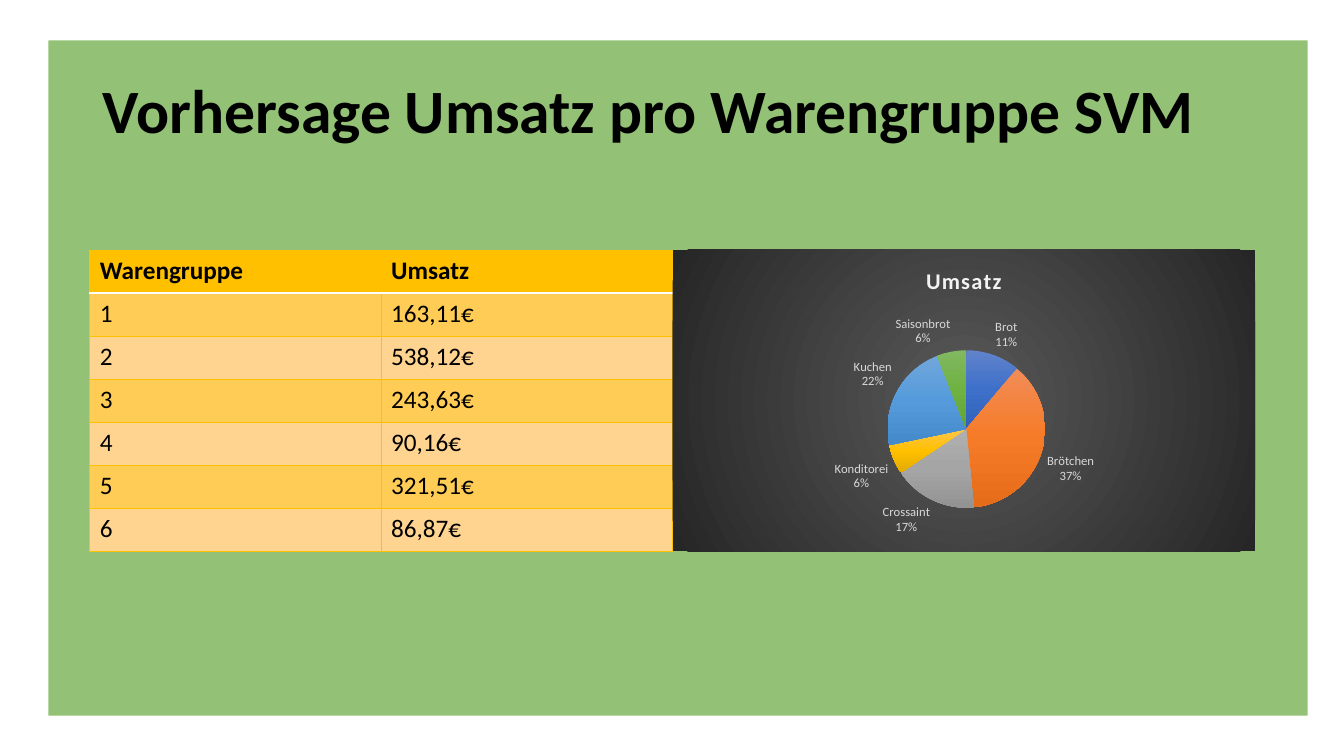
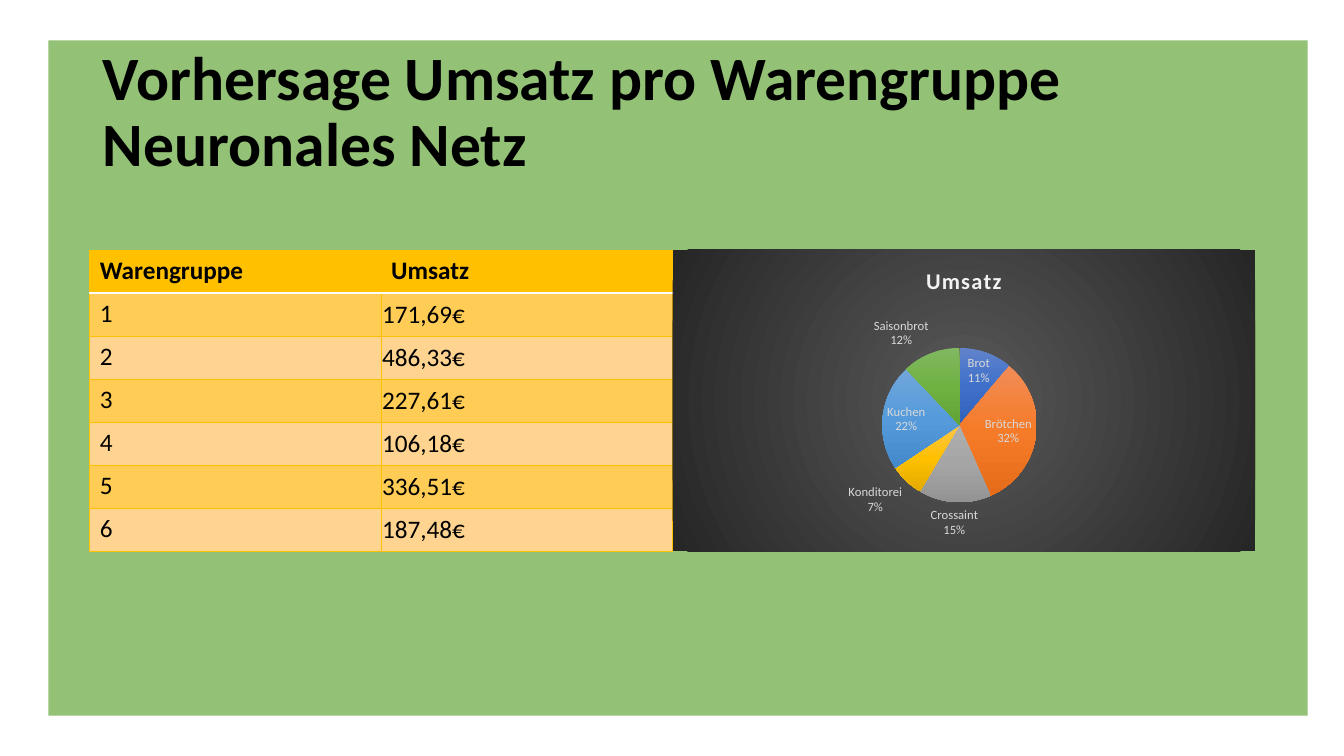
from dataclasses import dataclass

from lxml.etree import SubElement
from pptx import Presentation
from pptx.chart.chart import Chart
from pptx.chart.data import CategoryChartData
from pptx.dml.color import RGBColor
from pptx.enum.chart import XL_CHART_TYPE, XL_LABEL_POSITION
from pptx.enum.shapes import MSO_SHAPE
from pptx.enum.text import MSO_ANCHOR, MSO_AUTO_SIZE, PP_ALIGN
from pptx.oxml import parse_xml
from pptx.oxml.ns import nsdecls, qn
from pptx.slide import Slide
from pptx.table import _Cell
from pptx.util import Inches, Pt


@dataclass(frozen=True)
class Theme:
    font: str = "Calibri"
    black: str = "000000"
    white: str = "FFFFFF"
    green: str = "70AD47"
    gold: str = "FFC000"
    odd: str = "FFCC55"
    even: str = "FFD490"
    head: str = "F2F2F2"
    label: str = "D9D9D9"
    back: tuple[str, ...] = ("595959", "262626")
    slices: tuple[tuple[str, ...], ...] = (
        ("6183CB", "3E70CA", "3062BB"),
        ("F18C57", "F67B28", "E56C19"),
        ("AFAFAF", "A5A5A5", "939393"),
        ("FFC64B", "FFC000", "E3AB00"),
        ("71A6DB", "559BDB", "448ACA"),
        ("81B861", "6FB242", "62A336"),
    )
    title_size: int = 44
    cell_size: int = 18
    head_size: int = 16
    label_size: int = 9


@dataclass(frozen=True)
class Model:
    title: str
    sales: tuple[str, ...]
    shares: tuple[int, ...]
    place: XL_LABEL_POSITION
    tight: bool = False  # sales cells centred, with hardly any margin


THEME = Theme()
GOODS = ("Brot", "Brötchen", "Crossaint", "Konditorei", "Kuchen", "Saisonbrot")
MODELS = (
    Model(
        "Vorhersage Umsatz pro Warengruppe SVM",
        ("163,11€", "538,12€", "243,63€", "90,16€", "321,51€", "86,87€"),
        (11, 37, 17, 6, 22, 6),
        XL_LABEL_POSITION.OUTSIDE_END,
    ),
    Model(
        "Vorhersage Umsatz pro Warengruppe Neuronales Netz",
        ("171,69€", "486,33€", "227,61€", "106,18€", "336,51€", "187,48€"),
        (11, 32, 15, 7, 22, 12),
        XL_LABEL_POSITION.BEST_FIT,
        tight=True,
    ),
)
LEFT, TOP, WIDTH, HEIGHT = Inches(0.89), Inches(2.48), Inches(5.78), Inches(2.99)


def style(font, size: int, color: str, bold: bool = False) -> None:
    font.name = THEME.font
    font.size = Pt(size)
    font.bold = bold
    font.color.rgb = RGBColor.from_string(color)


def blend(colors: tuple[str, ...], shade: str):
    """Return a gradient fill with evenly spaced stops."""
    step = 100000 // (len(colors) - 1)
    stops = "".join(
        f'<a:gs pos="{i * step}"><a:srgbClr val="{c}"/></a:gs>'
        for i, c in enumerate(colors)
    )
    return parse_xml(
        f'<a:gradFill {nsdecls("a")} rotWithShape="1">'
        f"<a:gsLst>{stops}</a:gsLst>{shade}</a:gradFill>"
    )


def add_title(slide: Slide, text: str) -> None:
    title = slide.shapes.title
    title.left, title.top = Inches(0.92), Inches(0.4)
    title.width, title.height = Inches(11.5), Inches(1.45)
    frame = title.text_frame
    frame.text = text
    frame.auto_size = MSO_AUTO_SIZE.NONE
    frame.vertical_anchor = MSO_ANCHOR.MIDDLE
    line = frame.paragraphs[0]
    line.alignment = PP_ALIGN.LEFT
    line.line_spacing = 0.9
    style(line.runs[0].font, THEME.title_size, THEME.black, True)


def add_panel(slide: Slide) -> None:
    """Put the translucent green panel behind the title."""
    panel = slide.shapes.add_shape(
        MSO_SHAPE.RECTANGLE, Inches(0.48), Inches(0.4), Inches(12.49), Inches(6.7)
    )
    panel.shadow.inherit = False
    panel.line.fill.background()
    panel.fill.solid()
    panel.fill.fore_color.rgb = RGBColor.from_string(THEME.green)
    color = panel.element.spPr.find(qn("a:solidFill"))[0]
    SubElement(color, qn("a:alpha"), val="75000")
    slide.shapes.title.element.addprevious(panel.element)


def set_edge(cell: _Cell, side: str, color: str, width: float) -> None:
    props = cell._tc.get_or_add_tcPr()
    line = SubElement(props, qn(f"a:ln{side}"), w=str(Pt(width)))
    fill = SubElement(line, qn("a:solidFill"))
    SubElement(fill, qn("a:srgbClr"), val=color)


def fill_cell(cell: _Cell, text: str, row: int) -> None:
    for side in "LRTB":
        rule = (row, side) in ((0, "B"), (1, "T"))
        set_edge(cell, side, THEME.white if rule else THEME.gold, 1 if rule else 0.5)
    color = THEME.gold if row == 0 else THEME.odd if row % 2 else THEME.even
    cell.fill.solid()
    cell.fill.fore_color.rgb = RGBColor.from_string(color)
    cell.text_frame.text = text
    font = cell.text_frame.paragraphs[0].runs[0].font
    style(font, THEME.cell_size, THEME.black, row == 0)


def add_sales(slide: Slide, model: Model) -> None:
    rows = [("Warengruppe", "Umsatz")]
    rows += [(str(i), sale) for i, sale in enumerate(model.sales, 1)]
    table = slide.shapes.add_table(len(rows), 2, LEFT, TOP, WIDTH, HEIGHT).table
    for r, texts in enumerate(rows):
        for c, text in enumerate(texts):
            cell = table.cell(r, c)
            fill_cell(cell, text, r)
            if model.tight and r and c:
                cell.vertical_anchor = MSO_ANCHOR.MIDDLE
                cell.margin_left = cell.margin_top = cell.margin_right = Inches(0.01)
                cell.margin_bottom = 0


def paint(chart: Chart) -> None:
    """Give the slices and the chart area their gradients."""
    root = chart.element
    points = chart.plots[0].series[0].points
    for i in range(len(THEME.slices)):
        points[i].format.fill.solid()
        points[i].format.line.fill.background()
    for props, colors in zip(root.xpath(".//c:dPt/c:spPr"), THEME.slices):
        solid = props.find(qn("a:solidFill"))
        props.replace(solid, blend(colors, '<a:lin ang="5400000" scaled="0"/>'))
    area = parse_xml(f'<c:spPr {nsdecls("c", "a")}><a:ln><a:noFill/></a:ln></c:spPr>')
    shade = (
        '<a:path path="circle">'
        '<a:fillToRect l="50000" t="50000" r="50000" b="50000"/></a:path>'
    )
    area.insert(0, blend(THEME.back, shade))
    root.find(qn("c:chart")).addnext(area)


def add_pie(slide: Slide, model: Model) -> None:
    data = CategoryChartData()
    data.categories = GOODS
    data.add_series("Umsatz", model.shares)
    chart = slide.shapes.add_chart(
        XL_CHART_TYPE.PIE, LEFT + WIDTH, TOP, WIDTH, HEIGHT, data
    ).chart
    style(chart.font, 10, THEME.black)
    chart.has_legend = False
    chart.has_title = True
    chart.chart_title.include_in_layout = False
    frame = chart.chart_title.text_frame
    frame.text = "Umsatz"
    run = frame.paragraphs[0].runs[0]
    style(run.font, THEME.head_size, THEME.head, True)
    run.font._element.set("spc", "100")
    plot = chart.plots[0]
    plot.vary_by_categories = True
    plot.has_data_labels = True
    labels = plot.data_labels
    labels.show_category_name = labels.show_percentage = True
    labels.show_value = False
    labels.number_format = "0%"
    labels.number_format_is_linked = False
    labels.position = model.place
    style(labels.font, THEME.label_size, THEME.label)
    paint(chart)


def main() -> None:
    deck = Presentation()
    deck.slide_width, deck.slide_height = Inches(13.33), Inches(7.5)
    for model in MODELS:
        slide = deck.slides.add_slide(deck.slide_layouts[5])
        add_title(slide, model.title)
        add_panel(slide)
        add_sales(slide, model)
        add_pie(slide, model)
    deck.save("out.pptx")


if __name__ == "__main__":
    main()
